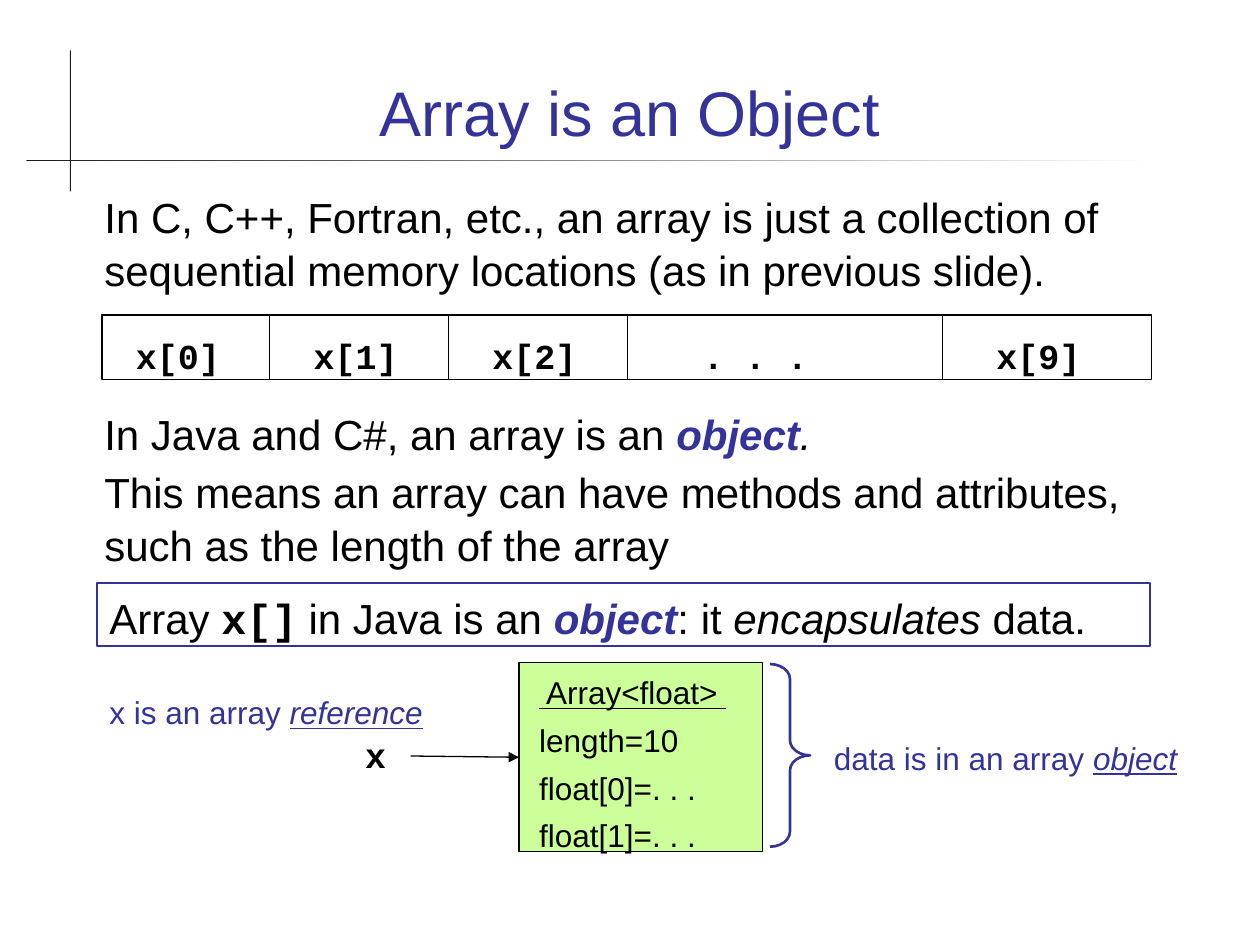
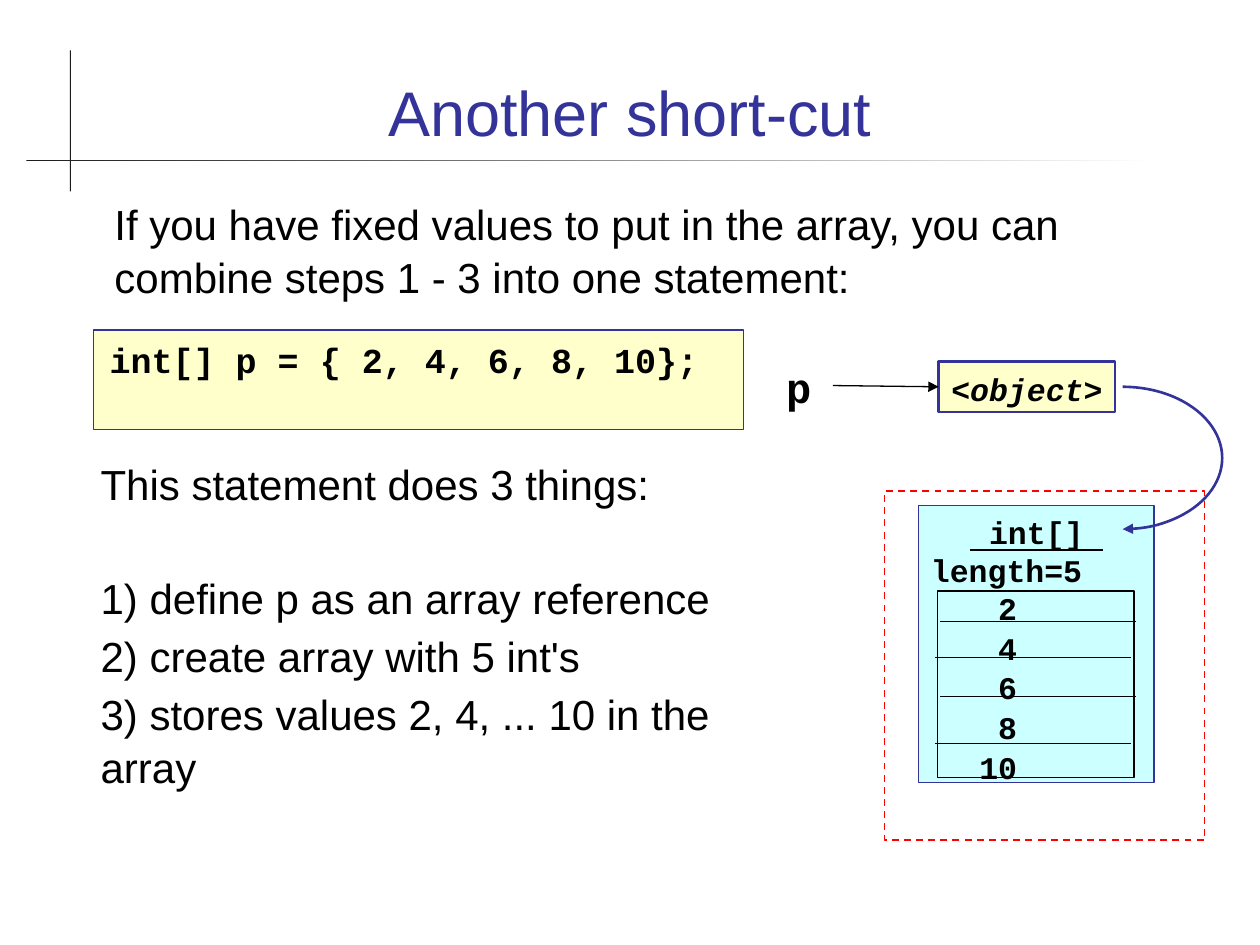
from lxml.etree import SubElement
from pptx import Presentation
from pptx.dml.color import RGBColor
from pptx.enum.dml import MSO_LINE
from pptx.enum.shapes import MSO_CONNECTOR, MSO_SHAPE
from pptx.enum.text import MSO_ANCHOR, PP_ALIGN
from pptx.oxml.ns import qn
from pptx.util import Inches, Pt

BLACK = RGBColor(0x00, 0x00, 0x00)
WHITE = RGBColor(0xFF, 0xFF, 0xFF)
CHARCOAL = RGBColor(0x1C, 0x1C, 0x1C)
INDIGO = RGBColor(0x33, 0x33, 0x99)
RED = RGBColor(0xFF, 0x00, 0x00)
LIME = RGBColor(0xCC, 0xFF, 0x99)
CREAM = RGBColor(0xFF, 0xFF, 0xCC)
AQUA = RGBColor(0xCC, 0xFF, 0xFF)

SANS, MONO = "Arial", "Courier New"
COLS, ROWS = 100, 75
CELL = Inches(10) // COLS  # the grid is square
LEADING = 1.05
KEYWORD = dict(bold=True, italic=True, color=INDIGO)
LINKED = dict(italic=True, underline=True)


def cells(*lengths):
    return [round(n * CELL) for n in lengths]


def write(tf, paras, size=24, font=SANS, color=BLACK, bold=False,
          align=PP_ALIGN.LEFT, anchor=MSO_ANCHOR.TOP, gaps=0, left=1, top=0.5, wrap=True):
    """Each paragraph is a text or a list of runs; a run is a text or (text, format)."""
    tf.word_wrap = wrap
    tf.vertical_anchor = anchor
    tf.margin_left, tf.margin_top = cells(left, top)
    if not isinstance(gaps, list):
        gaps = [gaps] * (len(paras) - 1)
    for i, (runs, gap) in enumerate(zip(paras, [0] + gaps)):
        p = tf.add_paragraph() if i else tf.paragraphs[0]
        p.alignment = align
        p.line_spacing = LEADING
        p.space_before = Pt(gap)
        for run in [runs] if isinstance(runs, str) else runs:
            text, extra = (run, {}) if isinstance(run, str) else run
            style = dict(name=font, bold=bold, color=color) | extra
            r = p.add_run()
            r.text = text
            r.font.size = Pt(size)
            r.font.color.rgb = style.pop("color")
            for name, value in style.items():
                setattr(r.font, name, value)


def add_text(s, box, *paras, **fmt):
    write(s.shapes.add_textbox(*cells(*box)).text_frame, paras, **fmt)


def add_box(s, box, fill=None, line=None, width=0.75, kind=MSO_SHAPE.RECTANGLE):
    sp = s.shapes.add_shape(kind, *cells(*box))
    sp.shadow.inherit = False
    if fill is None:
        sp.fill.background()
    else:
        sp.fill.solid()
        sp.fill.fore_color.rgb = fill
    if line is None:
        sp.line.fill.background()
    else:
        sp.line.color.rgb = line
        sp.line.width = Pt(width)
    return sp


def add_arrowhead(sp):
    SubElement(sp.line._get_or_add_ln(), qn("a:tailEnd"), type="triangle")


def add_line(s, x1, y1, x2, y2):
    cx = s.shapes.add_connector(MSO_CONNECTOR.STRAIGHT, *cells(x1, y1, x2, y2))
    cx.line.color.rgb = BLACK
    cx.line.width = Pt(0.75)
    SubElement(cx._element.spPr, qn("a:effectLst"))
    return cx


def point_at(s, x, y, target):
    """Arrow from (x, y) to the middle of the target's left side."""
    cx = add_line(s, x, y, x + 1, y)
    cx.end_connect(target, 1)
    add_arrowhead(cx)


def new_slide(prs, title):
    s = prs.slides.add_slide(prs.slide_layouts[6])
    add_box(s, (5.55, 4, 0.08, 11.2), CHARCOAL)
    rule = add_box(s, (2.1, 12.7, 89.7, 0.08), CHARCOAL)
    rule.fill.gradient()
    rule.fill.gradient_angle = 0
    for stop, color in zip(rule.fill.gradient_stops, (CHARCOAL, WHITE)):
        stop.color.rgb = color
    add_text(s, (6.7, 2.8, 86.6, 9.5), title, size=36, color=INDIGO,
             align=PP_ALIGN.CENTER, anchor=MSO_ANCHOR.BOTTOM)
    return s


def memory_strip(s, box):
    x, y, w, h = box
    add_box(s, box, line=BLACK)
    slots = [("x[0]", 13.3, 1.7), ("x[1]", 14.2, 2.5), ("x[2]", 14.2, 2.5),
             (". . .", 25, 5), ("x[9]", 16.6, 3.3)]
    for i, (label, width, indent) in enumerate(slots):
        if i:
            add_line(s, x, y, x, y + h)
        add_text(s, (x + indent, y + 0.9, 11, 4.4), label, size=20, font=MONO, bold=True)
        x += width


def reference_diagram(s, box):
    """Reference x on the left, the array object in the middle, a brace on the right."""
    x, y, w, h = box
    add_text(s, (x, y + 1.8, 28, 4), ["x is an array ", ("reference", LINKED)],
             size=18, color=INDIGO)
    add_text(s, (x + 20.3, y + 5, 4.5, 4.4), "x", size=20, font=MONO, bold=True)
    array = add_box(s, (x + 33.5, y, 19.3, h), LIME, BLACK)
    write(array.text_frame,
          [[(" Array<float> ", dict(underline=True))], "length=10",
           "float[0]=. . .", "float[1]=. . ."],
          size=18, gaps=4.5, left=1.6, top=0.7)
    point_at(s, x + 24.9, y + 7.4, array)
    brace = add_box(s, (x + 53.4, y + 0.1, 3.2, h - 0.5), line=INDIGO, width=1.5,
                    kind=MSO_SHAPE.RIGHT_BRACE)
    brace.adjustments[0] = 0.375
    add_text(s, (x + 57.5, y + 5.4, w - 57.5, 4), ["data is in an array ", ("object", LINKED)],
             size=18, color=INDIGO)


def array_is_object(prs):
    s = new_slide(prs, "Array is an Object")
    add_text(s, (7.3, 14.5, 83.9, 9),
             "In C, C++, Fortran, etc., an array is just a collection of "
             "sequential memory locations (as in previous slide).")
    memory_strip(s, (8.1, 25, 83.3, 5.1))
    add_text(s, (7.3, 31.7, 85, 13.4),
             ["In Java and C#, an array is an ", ("object", KEYWORD), (".", dict(italic=True))],
             "This means an array can have methods and attributes, "
             "such as the length of the array", gaps=3)
    summary = add_box(s, (7.7, 46.3, 83.6, 5), line=INDIGO, width=1)
    write(summary.text_frame,
          [["Array ", ("x[]", dict(name=MONO, bold=True)), " in Java is an ",
            ("object", KEYWORD), ": it ", ("encapsulates", dict(italic=True)), " data."]])
    reference_diagram(s, (7.7, 52.6, 88.7, 15))


def int_array(s, box):
    """Dashed frame around an array object whose values sit in ruled slots."""
    x, y, w, h = box
    mono = dict(size=18, font=MONO, bold=True)
    body = add_box(s, (x + 2.7, y + 1.1, 18.7, 22), AQUA, INDIGO)
    write(body.text_frame, [""], **mono)
    add_text(s, (x + 2.7, y + 1.1, 18.7, 4), [(" int[] ", dict(underline=True))],
             align=PP_ALIGN.CENTER, **mono)
    add_text(s, (x + 2.7, y + 4.1, 18.7, 4), "length=5", **mono)
    add_text(s, (x + 5, y + 7.1, 6.5, 16), *["2", "4", "6", "8", "10"],
             align=PP_ALIGN.RIGHT, **mono)
    add_box(s, box, line=RED, width=1).line.dash_style = MSO_LINE.DASH
    add_box(s, (x + 4.2, y + 7.9, 15.6, 14.8), line=BLACK)
    for i, drop in enumerate((10.3, 13.2, 16.3, 20)):
        start = x + (4 if i % 2 else 4.4)
        add_line(s, start, y + drop, start + 15.6, y + drop)


def object_pointer(s, box):
    """Variable p, the object it holds, and a curve down to the array."""
    x, y, w, h = box
    add_text(s, (x, y - 0.7, 5, 5), "p", font=MONO, bold=True)
    holder = add_box(s, (x + 13.1, y, 14, h), CREAM, INDIGO, 1.5)
    write(holder.text_frame, [["<", ("object", dict(italic=True)), ">"]], size=18,
          font=MONO, bold=True, align=PP_ALIGN.CENTER, wrap=False)
    point_at(s, x + 4.7, y + 1.9, holder)
    curve = add_box(s, (x + 19.8, y + h / 2, w - 19.8, 11.3), line=INDIGO, width=1.5,
                    kind=MSO_SHAPE.ARC)
    curve.adjustments[1] = 54  # ends at 90 degrees
    add_arrowhead(curve)


def another_short_cut(prs):
    s = new_slide(prs, "Another short-cut")
    code = add_box(s, (7.4, 26.2, 51.6, 7.9), CREAM, INDIGO)
    write(code.text_frame, ["int[] p = { 2, 4, 6, 8, 10};"], size=20, font=MONO,
          bold=True, left=1.3)
    add_text(s, (8.1, 15.1, 83.9, 9),
             "If you have fixed values to put in the array, "
             "you can combine steps 1 - 3 into one statement:")
    add_text(s, (7, 35.7, 52.5, 26.7), "This statement does 3 things:",
             "1) define p as an array reference", "2) create array with 5 int's",
             "3) stores values 2, 4, ... 10 in the array", gaps=[35, 3, 3])
    int_array(s, (70.2, 39, 25.4, 27.7))
    object_pointer(s, (61.4, 28.7, 35.6, 4))


def main():
    prs = Presentation()
    prs.slide_width, prs.slide_height = cells(COLS, ROWS)
    array_is_object(prs)
    another_short_cut(prs)
    prs.save("out.pptx")


if __name__ == "__main__":
    main()
